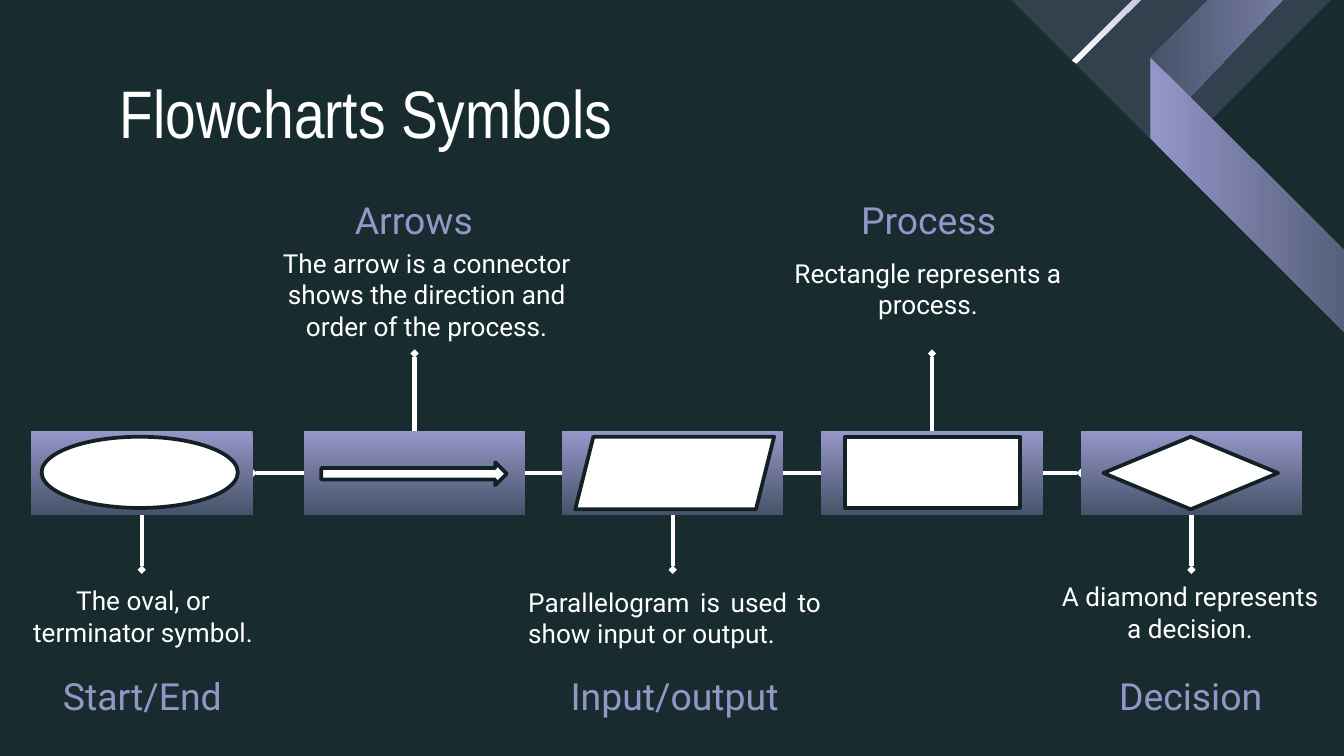
from lxml import etree
from pptx import Presentation
from pptx.dml.color import RGBColor
from pptx.enum.shapes import MSO_CONNECTOR, MSO_SHAPE
from pptx.enum.text import MSO_ANCHOR, MSO_AUTO_SIZE, PP_ALIGN
from pptx.oxml.ns import qn
from pptx.util import Inches, Pt

STRAIGHT = MSO_CONNECTOR.STRAIGHT
RECTANGLE = MSO_SHAPE.RECTANGLE
TRIANGLE = MSO_SHAPE.RIGHT_TRIANGLE
TOP_ANCHOR, MIDDLE_ANCHOR = MSO_ANCHOR.TOP, MSO_ANCHOR.MIDDLE
LEFT, CENTER, JUSTIFY = PP_ALIGN.LEFT, PP_ALIGN.CENTER, PP_ALIGN.JUSTIFY
TOP_SIDE, LEFT_SIDE, BOTTOM_SIDE, RIGHT_SIDE = range(4)

COLORS = {
    "background": "182C30",
    "lavender": "9596C8",
    "slate": "47536A",
    "white": "FFFFFF",
    "outline": "122124",
}
BOX_TOP, BOX_WIDTH, BOX_HEIGHT = 3.21, 1.65, 0.62

# Heading, heading left, box left, is the text above, description,
# description box, alignment, symbol preset, symbol box
STEPS = [
    ("Start/End", 0.26, 0.23, False, "The oval, or terminator symbol.",
     (0.23, 4.26, 1.67, 0.65), CENTER,
     MSO_SHAPE.OVAL, (0.31, 3.25, 1.46, 0.53)),
    ("Arrows", 2.28, 2.26, True,
     "The arrow is a connector shows the direction and order of the process.",
     (2.07, 1.81, 2.21, 0.76), CENTER,
     MSO_SHAPE.RIGHT_ARROW, (2.39, 3.44, 1.38, 0.17)),
    ("Input/output", 4.22, 4.18, False,
     "Parallelogram is used to show input or output.",
     (3.93, 4.26, 2.18, 0.67), JUSTIFY,
     MSO_SHAPE.PARALLELOGRAM, (4.28, 3.25, 1.48, 0.54)),
    ("Process", 6.11, 6.11, True, "Rectangle represents a process.",
     (5.88, 1.79, 2.05, 0.71), CENTER,
     RECTANGLE, (6.29, 3.25, 1.3, 0.53)),
    ("Decision", 8.06, 8.04, False, "A diamond represents a decision.",
     (7.88, 4.21, 1.95, 0.69), CENTER,
     MSO_SHAPE.DIAMOND, (8.21, 3.25, 1.3, 0.54)),
]

# Outline points, first colour, last colour, counter-clockwise angle
RIBBONS = [
    ([(8.56, 1.03), (10.21, -0.7), (9.69, -0.7), (8.56, 0.43)],
     "lavender", "slate", 180),
    ([(8.56, 1.03), (10.34, 2.81), (10.34, 2.2), (8.56, 0.43)],
     "lavender", "slate", 0),
    ([(8.9, -0.47), (7.98, 0.45), (8.01, 0.47), (8.93, -0.44)],
     "lavender", "white", 225),
]


def color(name):
    return RGBColor.from_string(COLORS[name])


def inches(values):
    return [Inches(value) for value in values]


def fill_gradient(shape, first, last, angle):
    shape.fill.gradient()
    shape.fill.gradient_angle = angle
    for stop, name, position in zip(shape.fill.gradient_stops, (first, last), (0, 1)):
        stop.color.rgb = color(name)
        stop.position = position
    shape.line.fill.background()
    shape.shadow.inherit = False


def write_text(shape, text, *, size, font="Roboto", tint="white", align=CENTER,
               anchor=MIDDLE_ANCHOR, inset=0):
    frame = shape.text_frame
    frame.word_wrap = True
    frame.auto_size = MSO_AUTO_SIZE.NONE
    frame.vertical_anchor = anchor
    frame.margin_left = frame.margin_right = Inches(inset)
    frame.margin_top = frame.margin_bottom = Inches(inset)
    paragraph = frame.paragraphs[0]
    paragraph.alignment = align
    run = paragraph.add_run()
    run.text = text
    run.font.size = Pt(size)
    run.font.name = font
    run.font.color.rgb = color(tint)


def add_label(slide, box, text, **style):
    write_text(slide.shapes.add_textbox(*inches(box)), text, **style)


def add_diamond_line(slide, start, end, ends):
    """Add a white line with diamonds at the ends named by headEnd and tailEnd."""
    line = slide.shapes.add_connector(STRAIGHT, *inches(start + end))
    line.line.color.rgb = color("white")
    line.line.width = Pt(2.25)
    outline = line.line._get_or_add_ln()
    for end_name in ends:
        etree.SubElement(outline, qn(f"a:{end_name}"), type="diamond", w="sm", len="sm")
    etree.SubElement(line._element.spPr, qn("a:effectLst"))
    return line


def add_corner_decoration(slide):
    triangle = slide.shapes.add_shape(TRIANGLE, *inches((7.58, -1.55, 2.27, 2.27)))
    triangle.rotation = 315
    triangle.fill.solid()
    triangle.fill.fore_color.rgb = color("lavender")
    tint = triangle._element.spPr.find(qn("a:solidFill"))[0]
    etree.SubElement(tint, qn("a:alpha"), val="20000")
    triangle.line.fill.background()
    triangle.shadow.inherit = False

    for points, first, last, angle in RIBBONS:
        start, *rest = [inches(point) for point in points]
        builder = slide.shapes.build_freeform(*start)
        builder.add_line_segments(rest, close=True)
        fill_gradient(builder.convert_to_shape(), first, last, angle)


def add_step_box(slide, left):
    box = slide.shapes.add_shape(
        RECTANGLE, *inches((left, BOX_TOP, BOX_WIDTH, BOX_HEIGHT)))
    fill_gradient(box, "lavender", "slate", 270)
    return box


def add_symbol(slide, preset, box):
    symbol = slide.shapes.add_shape(preset, *inches(box))
    symbol.fill.solid()
    symbol.fill.fore_color.rgb = color("white")
    symbol.line.color.rgb = color("outline")
    symbol.line.width = Pt(2)
    symbol.shadow.inherit = False


def add_stem(slide, box, left, above):
    middle = left + BOX_WIDTH / 2
    tip, edge = (2.63, BOX_TOP) if above else (4.24, BOX_TOP + BOX_HEIGHT)
    stem = add_diamond_line(slide, (middle, tip), (middle, edge), ["headEnd"])
    stem.end_connect(box, TOP_SIDE if above else BOTTOM_SIDE)


def main():
    presentation = Presentation()
    presentation.slide_width = Inches(10)
    presentation.slide_height = Inches(10) * 9 // 16
    slide = presentation.slides.add_slide(presentation.slide_layouts[5])
    slide.background.fill.solid()
    slide.background.fill.fore_color.rgb = color("background")
    add_corner_decoration(slide)

    title = slide.shapes.title
    title.left, title.top, title.width, title.height = inches((0.79, 0.43, 6.32, 0.63))
    write_text(title, "Flowcharts Symbols", size=36, font="Arial Narrow",
               align=LEFT, anchor=TOP_ANCHOR, inset=0.1)

    # The flow line lies behind the boxes, so it is joined once they exist.
    flow_line = add_diamond_line(slide, (1.88, 3.52), (8.04, 3.52),
                                 ["headEnd", "tailEnd"])
    boxes = [add_step_box(slide, step[2]) for step in STEPS]
    flow_line.begin_connect(boxes[0], RIGHT_SIDE)
    flow_line.end_connect(boxes[-1], LEFT_SIDE)

    for box, step in zip(boxes, STEPS):
        (heading, heading_left, left, above, description, text_box, align,
         preset, symbol_box) = step
        add_stem(slide, box, left, above)
        add_symbol(slide, preset, symbol_box)
        heading_top = 1.41 if above else 4.95
        add_label(slide, (heading_left, heading_top, 1.6, 0.45), heading,
                  size=20, tint="lavender")
        add_label(slide, text_box, description, size=14, align=align)

    presentation.save("out.pptx")


if __name__ == "__main__":
    main()
